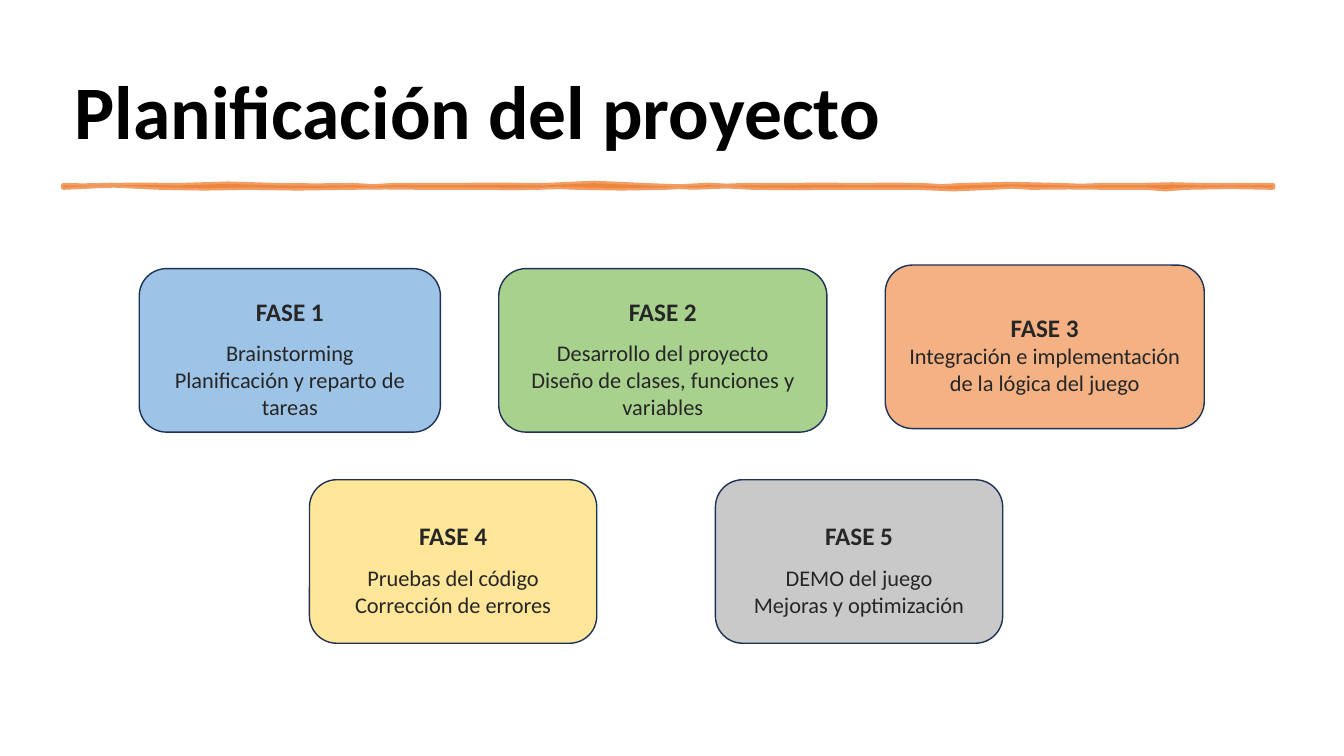
from dataclasses import dataclass
from itertools import pairwise

from lxml.etree import SubElement
from pptx import Presentation
from pptx.dml.color import RGBColor
from pptx.enum.shapes import MSO_SHAPE
from pptx.enum.text import MSO_ANCHOR, PP_ALIGN
from pptx.oxml.ns import qn
from pptx.util import Cm, Pt


@dataclass(frozen=True)
class Theme:
    font: str = "Calibri"
    title: str = "000000"
    text: str = "262626"
    border: str = "1E3256"
    stroke: str = "ED7D31"
    blue: str = "9DC3E6"
    green: str = "A9D18E"
    orange: str = "F4B183"
    yellow: str = "FFE699"
    gray: str = "C9C9C9"
    title_size: int = 54
    phase_size: int = 18
    item_size: int = 16


THEME = Theme()
CM_PER_INCH = 2.54
STROKE_LEFT = 0.63
STROKE_RIGHT = 12.63
STROKE_TOP = 1.84
STROKE_BOTTOM = 1.86
STROKE_OPACITY = 75
BOX_HEIGHT = 4.12

TOP_WAVES = [
    (1.02, 0, 1), (1.77, -2, 1), (2.76, -1, -3), (3.51, 3, -2), (3.9, 2, 1),
    (4.41, -1, 1), (5.4, -1, 0), (6.39, -1, -5), (7.38, 5, 0), (7.77, -1, 1),
    (8.52, -1, 0), (9.15, 0, -1), (9.54, 1, 2), (10.53, -2, -1), (10.92, 1, 1),
    (11.31, -1, 1), (11.94, -1, -1), (STROKE_RIGHT, 1, -1),
]
BOTTOM_WAVES = [
    (11.76, 1, -3), (11.37, 3, 1), (10.98, -1, 1), (10.23, -2, 1), (9.84, -1, -2),
    (9.09, 2, 2), (8.22, -2, 2), (7.47, -2, 3), (6.6, -3, -3), (5.73, 2, 0),
    (5.34, 0, -2), (4.83, 2, -1), (4.2, 1, -1), (3.45, 0, -1), (2.46, 1, 1),
    (1.59, -1, 3), (STROKE_LEFT, -4, -2),
]

PHASES = [
    (3.51, 6.77, 7.59, THEME.blue, "FASE 1",
     ["Brainstorming", "Planificación y reparto de tareas"]),
    (22.31, 6.68, 8.04, THEME.orange, "FASE 3",
     ["Integración e implementación de la lógica del juego"]),
    (7.8, 12.09, 7.24, THEME.yellow, "FASE 4",
     ["Pruebas del código", "Corrección de errores"]),
    (12.57, 6.77, 8.27, THEME.green, "FASE 2",
     ["Desarrollo del proyecto", "Diseño de clases, funciones y variables"]),
    (18.03, 12.09, 7.24, THEME.gray, "FASE 5",
     ["DEMO del juego", "Mejoras y optimización"]),
]


def write_text(paragraph, text, *, size, color, bold=False, spacing=1.0,
               align=PP_ALIGN.LEFT):
    paragraph.alignment = align
    paragraph.line_spacing = spacing
    run = paragraph.add_run()
    run.text = text
    run.font.name = THEME.font
    run.font.size = Pt(size)
    run.font.bold = bold
    run.font.color.rgb = RGBColor.from_string(color)


def paint(fill, color, opacity=100):
    fill.solid()
    fill.fore_color.rgb = RGBColor.from_string(color)
    if opacity < 100:
        color_element = fill._xPr.find(qn("a:solidFill"))[0]
        SubElement(color_element, qn("a:alpha")).set("val", str(opacity * 1000))


def wavy_edge(start, baseline, waves):
    points = [(start, baseline)]
    for (left, *_), (right, first, second) in pairwise([(start, 0, 0), *waves]):
        bend = 3 * (first + second) / 800
        points += [((left + right) / 2, baseline + bend), (right, baseline)]
    return points


class SlideBuilder:
    def __init__(self, slide, theme):
        self.slide = slide
        self.theme = theme

    def title(self, text, left, top, width, height):
        shape = self.slide.shapes.add_textbox(Cm(left), Cm(top), Cm(width), Cm(height))
        frame = shape.text_frame
        frame.word_wrap = True
        frame.vertical_anchor = MSO_ANCHOR.BOTTOM
        write_text(frame.paragraphs[0], text, size=self.theme.title_size,
                   color=self.theme.title, bold=True, spacing=0.9)

    def brush(self, top_waves, bottom_waves):
        outline = wavy_edge(STROKE_LEFT, STROKE_TOP, top_waves)
        outline += wavy_edge(STROKE_RIGHT, STROKE_BOTTOM, bottom_waves)
        points = [(Cm(x * CM_PER_INCH), Cm(y * CM_PER_INCH)) for x, y in outline]
        builder = self.slide.shapes.build_freeform(*points[0])
        builder.add_line_segments(points[1:])
        shape = builder.convert_to_shape()
        shape.shadow.inherit = False
        shape.line.width = Pt(3.5)
        paint(shape.fill, self.theme.stroke, STROKE_OPACITY)
        paint(shape.line.fill, self.theme.stroke, STROKE_OPACITY)
        SubElement(shape.line._ln, qn("a:round"))

    def phase(self, left, top, width, color, heading, items):
        shape = self.slide.shapes.add_shape(
            MSO_SHAPE.ROUNDED_RECTANGLE, Cm(left), Cm(top), Cm(width), Cm(BOX_HEIGHT))
        shape.shadow.inherit = False
        paint(shape.fill, color)
        paint(shape.line.fill, self.theme.border)
        shape.line.width = Pt(1)
        frame = shape.text_frame
        frame.word_wrap = True
        frame.vertical_anchor = MSO_ANCHOR.MIDDLE
        write_text(frame.paragraphs[0], heading, size=self.theme.phase_size,
                   color=self.theme.text, bold=True, spacing=1.5,
                   align=PP_ALIGN.CENTER)
        for item in items:
            write_text(frame.add_paragraph(), item, size=self.theme.item_size,
                       color=self.theme.text, align=PP_ALIGN.CENTER,
                       spacing=1.0 if item == items[-1] else 1.5)


def main():
    presentation = Presentation()
    presentation.slide_width = Cm(33.87)
    presentation.slide_height = Cm(19.05)
    slide = presentation.slides.add_slide(presentation.slide_layouts[6])
    builder = SlideBuilder(slide, THEME)
    builder.title("Planificación del proyecto", 1.63, 0.05, 30.6, 3.99)
    builder.brush(TOP_WAVES, BOTTOM_WAVES)
    for phase in PHASES:
        builder.phase(*phase)
    presentation.save("out.pptx")


if __name__ == "__main__":
    main()
